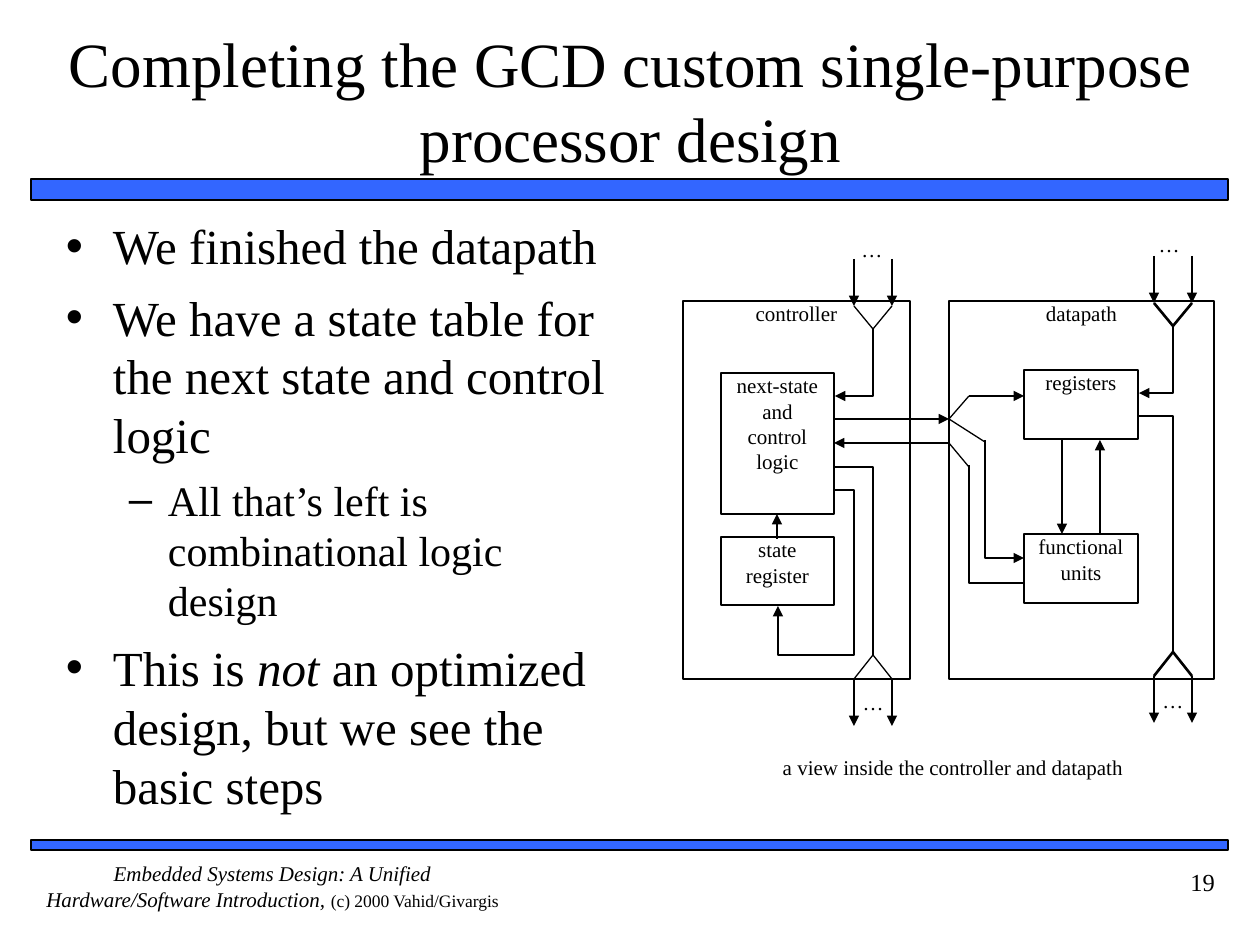
import pptx
import pptx.dml.color
import pptx.enum.shapes
import pptx.enum.text
import pptx.oxml.ns
import pptx.util
from lxml import etree

BLACK = pptx.dml.color.RGBColor(0x00, 0x00, 0x00)
BLUE = pptx.dml.color.RGBColor(0x33, 0x66, 0xFF)
FONT = "Times New Roman"
SCALE = 914400 / 126
THIN, MEDIUM, THICK = 0.75, 1.25, 1.5

ALIGN = pptx.enum.text.PP_ALIGN
ANCHOR = pptx.enum.text.MSO_ANCHOR
qn = pptx.oxml.ns.qn


def emu(*lengths):
    return [pptx.util.Emu(round(length * SCALE)) for length in lengths]


class SlideBuilder:
    def __init__(self, slide):
        self.slide = slide
        self.shapes = slide.shapes

    def style_frame(self, frame, inset_x=0, inset_y=0, anchor=ANCHOR.TOP):
        frame.word_wrap = True
        frame.auto_size = pptx.enum.text.MSO_AUTO_SIZE.NONE
        frame.vertical_anchor = anchor
        frame.margin_left, frame.margin_right = emu(inset_x, inset_x)
        frame.margin_top, frame.margin_bottom = emu(inset_y, inset_y)

    def style_font(self, font, size):
        font.name = FONT
        font.size = pptx.util.Pt(size)
        font.color.rgb = BLACK

    def fill_text(self, frame, text, size=12, align=ALIGN.CENTER):
        """Make one paragraph for each line of text."""
        frame.text = text
        for para in frame.paragraphs:
            para.alignment = align
            self.style_font(para.font, size)

    def place(self, shape, box):
        shape.left, shape.top, shape.width, shape.height = emu(*box)

    def title(self, text, box):
        title = self.shapes.title
        self.place(title, box)
        self.style_frame(title.text_frame, 0, 6, ANCHOR.MIDDLE)
        self.fill_text(title.text_frame, text, 36)

    def bullets(self, items, box):
        """Fill the body from (level, runs), each run being (text, italic)."""
        body = self.slide.placeholders[1]
        self.place(body, box)
        frame = body.text_frame
        self.style_frame(frame, 13, 6)
        levels = [("•", 47, -47, 7, 28), ("–", 102, -39, 6, 24)]
        for index, (level, runs) in enumerate(items):
            mark, margin, indent, space, size = levels[level]
            para = frame.add_paragraph() if index else frame.paragraphs[0]
            para.level = level
            para.space_before = pptx.util.Pt(space)
            self.style_font(para.font, size)
            for text, italic in runs:
                span = para.add_run()
                span.text = text
                span.font.italic = italic
            properties = para._p.get_or_add_pPr()
            for name, length in zip(("marL", "indent"), emu(margin, indent)):
                properties.set(name, str(length))
            bullet = etree.Element(qn("a:buChar"), char=mark)
            properties.find(qn("a:defRPr")).addprevious(bullet)

    def label(self, text, box, size=12, align=ALIGN.CENTER, inset=(0, 0)):
        label = self.shapes.add_textbox(*emu(*box))
        self.style_frame(label.text_frame, *inset)
        self.fill_text(label.text_frame, text, size, align)
        return label

    def rectangle(self, box, text="", fill=None, weight=THIN):
        kind = pptx.enum.shapes.MSO_SHAPE.RECTANGLE
        shape = self.shapes.add_shape(kind, *emu(*box))
        if fill is None:
            shape.fill.background()
        else:
            shape.fill.solid()
            shape.fill.fore_color.rgb = fill
        self.style_line(shape, weight)
        shape.shadow.inherit = False
        if text:
            self.style_frame(shape.text_frame)
            self.fill_text(shape.text_frame, text)

    def style_line(self, shape, weight, arrow=False):
        shape.line.color.rgb = BLACK
        shape.line.width = pptx.util.Pt(weight)
        if arrow:
            outline = shape.element.spPr.find(qn("a:ln"))
            etree.SubElement(outline, qn("a:tailEnd"), type="triangle")

    def wire(self, *points, weight=THICK, arrow=False):
        """Draw a connector through two points, or an open outline through more."""
        if len(points) == 2:
            kind = pptx.enum.shapes.MSO_CONNECTOR.STRAIGHT
            wire = self.shapes.add_connector(kind, *emu(*points[0], *points[1]))
            self.style_line(wire, weight, arrow)
            etree.SubElement(wire.element.spPr, qn("a:effectLst"))
        else:
            builder = self.shapes.build_freeform(*points[0], scale=SCALE)
            builder.add_line_segments(points[1:], close=False)
            wire = builder.convert_to_shape()
            wire.fill.background()
            wire.shadow.inherit = False
            self.style_line(wire, weight, arrow)

    def ports(self, left, shift, weight):
        """Draw a block's paired inputs above it and paired outputs below it."""
        middle = left + 19
        for x in (left, left + 38):
            self.wire((x, 259 + shift), (x, 306 + shift), weight=weight, arrow=True)
            self.wire((x, 306 + shift), (middle, 329 + shift), weight=weight)
            self.wire((middle, 655 + shift), (x, 679 + shift), weight=weight)
            self.wire((x, 679 + shift), (x, 726 + shift), weight=weight, arrow=True)


def main():
    deck = pptx.Presentation()
    deck.slide_width, deck.slide_height = emu(1260, 945)
    page = SlideBuilder(deck.slides.add_slide(deck.slide_layouts[1]))

    page.rectangle((31, 179, 1197, 21), fill=BLUE, weight=1)
    page.rectangle((31, 840, 1197, 10), fill=BLUE, weight=1)
    page.title("Completing the GCD custom single-purpose processor design",
               (53, 21, 1155, 158))
    page.bullets([
        (0, [("We finished the datapath", None)]),
        (0, [("We have a state table for the next state and control logic", None)]),
        (1, [("All that’s left is combinational logic design", None)]),
        (0, [("This is ", None), ("not", True),
             (" an optimized design, but we see the basic steps", None)]),
    ], (53, 210, 575, 620))

    for text, box in [
        ("controller", (683, 301, 227, 378)),
        ("datapath", (949, 301, 265, 378)),
        ("next-state\nand\ncontrol\nlogic", (721, 373, 113, 141)),
        ("state\nregister", (721, 537, 113, 68)),
        ("registers", (1024, 370, 114, 69)),
        ("functional\nunits", (1024, 534, 114, 69)),
    ]:
        page.rectangle(box, text)

    page.ports(854, 0, THIN)
    page.ports(1154, -3, THICK)
    for left, top in [(853, 237), (1150, 232), (854, 690), (1154, 688)]:
        page.label("…", (left, top, 38, 35))

    # Controller wiring
    page.wire((873, 329), (873, 396), (835, 396), arrow=True)
    page.wire((835, 467), (873, 467), (873, 655))
    page.wire((835, 490), (854, 490), (854, 655), (778, 655), (778, 606), arrow=True)
    page.wire((777, 539), (777, 514), weight=MEDIUM, arrow=True)

    # Signals between controller and datapath
    page.wire((835, 419), (949, 419), arrow=True)
    page.wire((949, 443), (834, 443), arrow=True)
    page.wire((949, 419), (969, 396), weight=THIN)
    page.wire((969, 396), (1024, 396), weight=THIN, arrow=True)
    page.wire((949, 419), (985, 442), weight=THIN)
    page.wire((985, 440), (985, 558), (1024, 558), arrow=True)
    page.wire((1024, 583), (969, 583), (969, 465), weight=THIN)
    page.wire((969, 467), (949, 443), weight=THIN)

    # Datapath wiring
    page.wire((1062, 440), (1062, 534), arrow=True)
    page.wire((1100, 534), (1100, 440), arrow=True)
    page.wire((1173, 326), (1173, 393), (1139, 393), arrow=True)
    page.wire((1139, 416), (1173, 416), (1173, 652))

    page.label("a view inside the controller and datapath", (693, 755, 520, 54))
    footer = page.label("Embedded Systems Design: A Unified Hardware/Software Introduction, ",
                        (31, 861, 483, 63))
    para = footer.text_frame.paragraphs[0]
    para.runs[0].font.italic = True
    span = para.add_run()
    span.text = "(c) 2000 Vahid/Givargis"
    span.font.size = pptx.util.Pt(10)
    page.label("19", (1102, 861, 126, 63), 14, ALIGN.RIGHT, (13, 6))

    deck.save("out.pptx")


if __name__ == "__main__":
    main()
